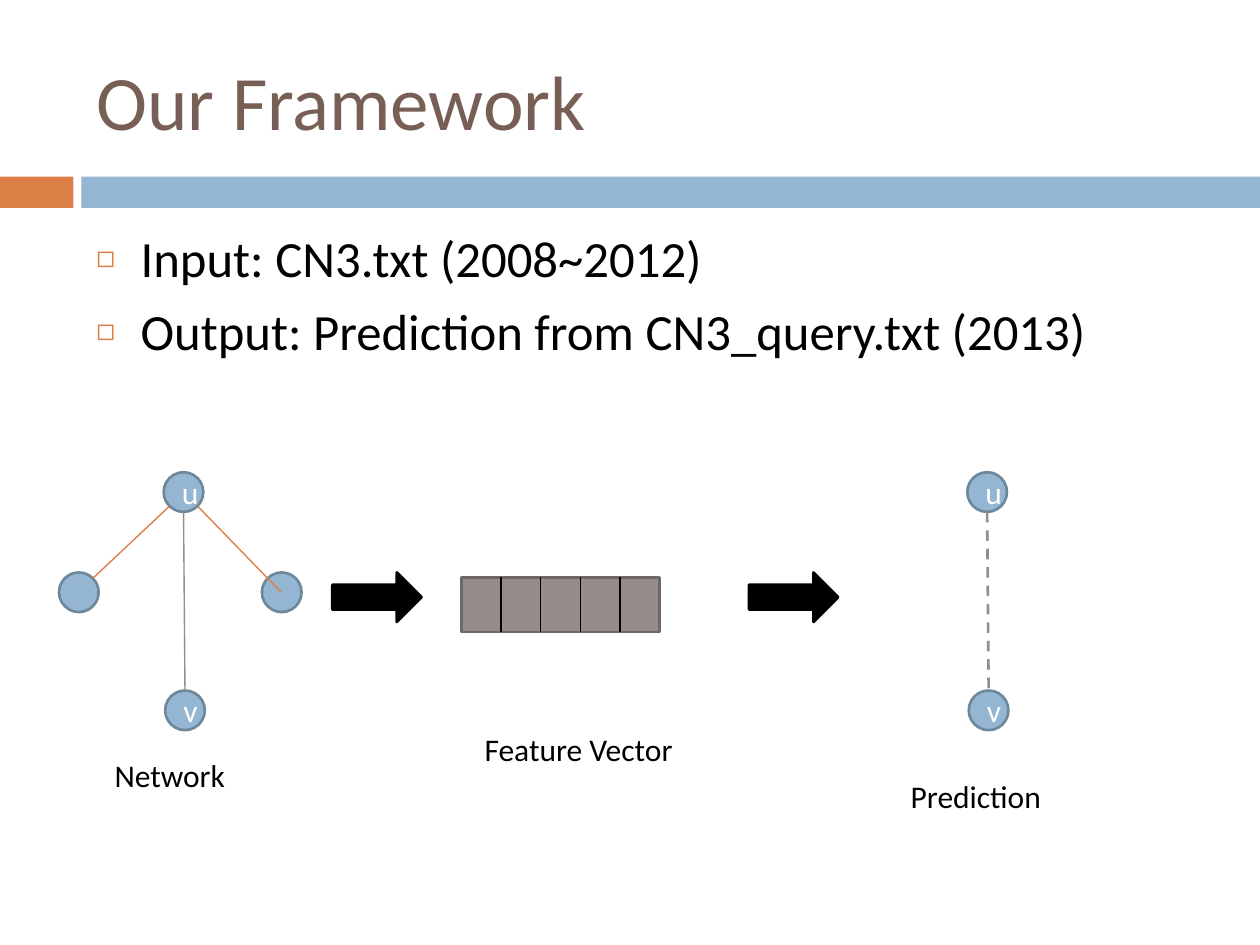
from lxml import etree
from pptx import Presentation
from pptx.dml.color import RGBColor
from pptx.enum.dml import MSO_LINE
from pptx.enum.shapes import MSO_CONNECTOR, MSO_SHAPE
from pptx.enum.text import MSO_ANCHOR, MSO_AUTO_SIZE, PP_ALIGN
from pptx.oxml.ns import qn
from pptx.util import Cm, Pt

RECT, OVAL, ARROW = MSO_SHAPE.RECTANGLE, MSO_SHAPE.OVAL, MSO_SHAPE.RIGHT_ARROW
STRAIGHT, DASH = MSO_CONNECTOR.STRAIGHT, MSO_LINE.DASH
MIDDLE, TOP = MSO_ANCHOR.MIDDLE, MSO_ANCHOR.TOP
LEFT, CENTER = PP_ALIGN.LEFT, PP_ALIGN.CENTER
NO_FIT, GROW = MSO_AUTO_SIZE.NONE, MSO_AUTO_SIZE.SHAPE_TO_FIT_TEXT
COLORS = {
    "title": "775F55", "orange": "DD8047", "blue": "94B6D2", "node_edge": "6D879B",
    "gray": "968C8C", "gray_edge": "6F6868", "black": "000000", "white": "FFFFFF",
}
FONT = "Calibri"
NODE = 0.8
THIN, THICK = 0.79, 1.5


class FrameworkSlide:
    """Draws styled elements on one slide, with lengths in centimetres."""

    def __init__(self, slide):
        self.slide = slide

    def color(self, name):
        return RGBColor.from_string(COLORS[name])

    def add_text(self, paragraph, text, size, color, align=LEFT):
        paragraph.alignment = align
        run = paragraph.add_run()
        run.text = text
        run.font.name = FONT
        run.font.size = Pt(size)
        run.font.color.rgb = self.color(color)

    def place(self, holder, left, top, width, height, anchor):
        holder.left, holder.top = Cm(left), Cm(top)
        holder.width, holder.height = Cm(width), Cm(height)
        frame = holder.text_frame
        frame.auto_size = NO_FIT
        frame.vertical_anchor = anchor
        return frame

    def title(self, text, *box):
        frame = self.place(self.slide.shapes.title, *box, MIDDLE)
        self.add_text(frame.paragraphs[0], text, 44, "title")

    def bullets(self, items, *box):
        frame = self.place(self.slide.placeholders[1], *box, TOP)
        for index, item in enumerate(items):
            paragraph = frame.add_paragraph() if index else frame.paragraphs[0]
            self.add_text(paragraph, item, 29, "black")
            paragraph.space_before = Pt(7)
            props = paragraph._p.get_or_add_pPr()
            props.set("marL", str(Cm(0.89)))
            props.set("indent", str(Cm(-0.89)))
            tint = etree.SubElement(props, qn("a:buClr"))
            etree.SubElement(tint, qn("a:srgbClr"), val=COLORS["orange"])
            etree.SubElement(props, qn("a:buSzPct"), val="60000")
            etree.SubElement(props, qn("a:buChar"), char="◻")

    def shape(self, kind, left, top, width, height, fill, edge=None):
        shape = self.slide.shapes.add_shape(kind, Cm(left), Cm(top), Cm(width), Cm(height))
        shape.shadow.inherit = False
        shape.fill.solid()
        shape.fill.fore_color.rgb = self.color(fill)
        if edge:
            shape.line.color.rgb = self.color(edge)
            shape.line.width = Pt(THICK)
        else:
            shape.line.fill.background()
        return shape

    def node(self, left, top, name=None):
        circle = self.shape(OVAL, left, top, NODE, NODE, "blue", "node_edge")
        if name:
            frame = circle.text_frame
            frame.vertical_anchor = MIDDLE
            self.add_text(frame.paragraphs[0], name, 18, "white", CENTER)

    def line(self, x1, y1, x2, y2, color, width=THIN, dash=None):
        line = self.slide.shapes.add_connector(STRAIGHT, Cm(x1), Cm(y1), Cm(x2), Cm(y2))
        line.line.color.rgb = self.color(color)
        line.line.width = Pt(width)
        if dash:
            line.line.dash_style = dash
        etree.SubElement(line._element.spPr, qn("a:effectLst"))

    def linked_pair(self, left, width, dash=None):
        top, bottom, shift = 9.52, 13.92, 0.03
        self.node(left, top, "u")
        self.node(left + shift, bottom, "v")
        center = left + NODE / 2
        self.line(center, top + NODE, center + shift, bottom, "gray", width, dash)

    def vector(self, left, top, cells, cell, height):
        self.shape(RECT, left, top, cells * cell, height, "gray", "gray_edge")
        for index in range(1, cells):
            x = left + index * cell
            self.line(x, top, x, top + height, "black")

    def label(self, text, left, top, width):
        box = self.slide.shapes.add_textbox(Cm(left), Cm(top), Cm(width), Cm(1.03))
        frame = box.text_frame
        frame.word_wrap = False
        frame.auto_size = GROW
        self.add_text(frame.paragraphs[0], text, 18, "black")


deck = Presentation()
deck.slide_width, deck.slide_height = Cm(25.4), Cm(19.05)
page = FrameworkSlide(deck.slides.add_slide(deck.slide_layouts[1]))

page.shape(RECT, 0, 3.56, 1.48, 0.63, "orange")
page.shape(RECT, 1.64, 3.56, 23.76, 0.63, "blue")
page.title("Our Framework", 1.69, 0.64, 22.65, 2.75)
page.bullets(
    ["Input: CN3.txt (2008~2012)", "Output: Prediction from CN3_query.txt (2013)"],
    1.69, 4.45, 22.65, 12.5,
)

page.linked_pair(3.3, THIN)
for neighbor_left in (1.19, 5.28):
    page.node(neighbor_left, 11.54)
page.line(3.99, 10.21, 5.67, 11.94, "orange")
page.line(1.88, 11.65, 3.41, 10.21, "orange")

for arrow_left in (6.7, 15.1):
    page.shape(ARROW, arrow_left, 11.54, 1.8, 1, "black", "black")
page.vector(9.3, 11.64, 5, 0.8, 1.1)
page.linked_pair(19.5, THICK, DASH)

for caption in (
    ("Network", 2.06, 15.11, 2.77),
    ("Feature Vector", 9.52, 14.6, 4.34),
    ("Prediction", 18.11, 15.54, 3.18),
):
    page.label(*caption)

deck.save("out.pptx")
